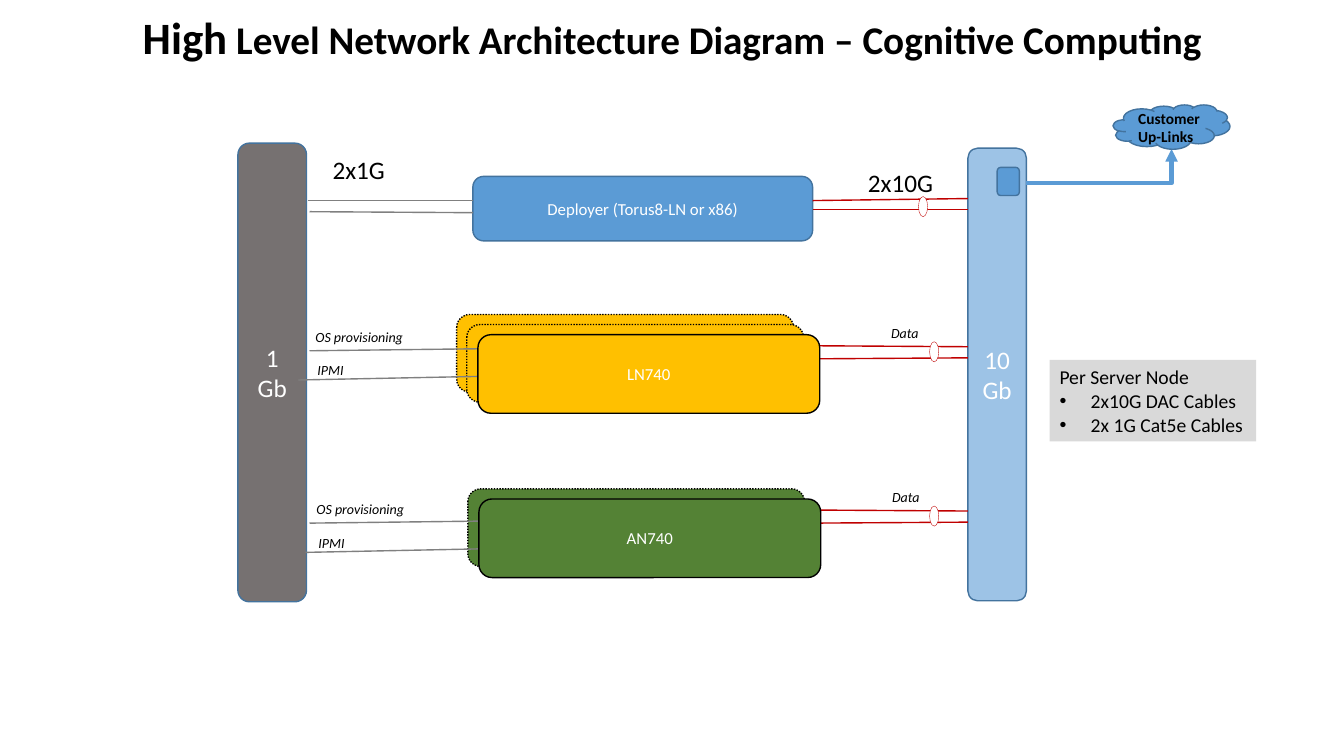
from lxml import etree
from pptx import Presentation
from pptx import util as u
from pptx.dml.color import RGBColor
from pptx.enum import dml, shapes, text
from pptx.oxml import ns

FONT = "Calibri"
BLACK, WHITE = "000000", "FFFFFF"
BLUE, BLUE_EDGE, PALE_BLUE = "5B9BD5", "43739E", "9DC3E6"
GREY_LINE, RED_LINE = "808080", "C00000"
AMBER, GREEN, SLATE, NOTE_GREY = "FFC000", "548235", "767171", "D9D9D9"
KIND = shapes.MSO_SHAPE


def color(value):
    return RGBColor.from_string(value)


def style(para, size, ink=BLACK, bold=False, italic=False, align=None):
    para.alignment = align
    for span in para.runs:
        span.font.name, span.font.size = FONT, u.Pt(size)
        span.font.bold, span.font.italic = bold, italic
        span.font.color.rgb = color(ink)


def add_box(page, kind, box, fill, edge=None, weight=1, dotted=False, label="", size=12):
    shape = page.shapes.add_shape(kind, *map(u.Inches, box))
    shape.shadow.inherit = False
    shape.fill.solid()
    shape.fill.fore_color.rgb = color(fill)
    if edge:
        shape.line.color.rgb = color(edge)
        shape.line.width = u.Pt(weight)
        if dotted:
            shape.line.dash_style = dml.MSO_LINE.ROUND_DOT
    else:
        shape.line.fill.background()
    if label:
        shape.text_frame.text = label
        style(shape.text_frame.paragraphs[0], size, WHITE, align=text.PP_ALIGN.CENTER)
    return shape


def add_label(page, box, words, size, wrap=False, **look):
    frame = page.shapes.add_textbox(*map(u.Inches, box)).text_frame
    frame.word_wrap = wrap
    frame.text = words
    style(frame.paragraphs[0], size, **look)


def add_line(page, start, end, ink, weight=1, kind=shapes.MSO_CONNECTOR.STRAIGHT):
    line = page.shapes.add_connector(kind, *map(u.Inches, (*start, *end)))
    line.line.color.rgb = color(ink)
    line.line.width = u.Pt(weight)
    etree.SubElement(line._element.spPr, ns.qn("a:effectLst"))
    return line


def add_title(page, box):
    title = page.shapes.title
    title.left, title.top, title.width, title.height = map(u.Inches, box)
    frame = title.text_frame
    frame.auto_size = text.MSO_AUTO_SIZE.NONE
    frame.vertical_anchor = text.MSO_ANCHOR.TOP
    para = frame.paragraphs[0]
    for words in ("High", " Level Network Architecture Diagram – Cognitive Computing"):
        para.add_run().text = words
    style(para, 28, bold=True, align=text.PP_ALIGN.CENTER)
    para.runs[0].font.size = u.Pt(32)


def add_switches(page):
    add_box(page, KIND.ROUNDED_RECTANGLE, (9.6, 1.47, 0.58, 4.49), PALE_BLUE, BLUE_EDGE,
            label="10 Gb", size=18)
    add_box(page, KIND.ROUNDED_RECTANGLE, (2.36, 1.42, 0.68, 4.55), SLATE, BLUE_EDGE,
            label="1 Gb", size=18)


def add_data_links(page, top, left=8.05, rises=(0.01, -0.01), gap=0.13, ring=9.22):
    """Two red cables to the 10 Gb switch, bundled by a ring."""
    for index, rise in enumerate(rises):
        y = top + index * gap
        add_line(page, (left, y), (9.6, y + rise), RED_LINE)
    add_box(page, KIND.OVAL, (ring, top - 0.04, 0.09, 0.2), WHITE, RED_LINE, 0.25)


def add_deployer(page, box):
    left, top, width, height = box
    add_box(page, KIND.ROUNDED_RECTANGLE, box, BLUE, BLUE_EDGE,
            label="Deployer (Torus8-LN or x86)")
    add_line(page, (3.05, top + 0.24), (left, top + 0.24), GREY_LINE)
    add_line(page, (3.07, top + 0.35), (left, top + 0.36), GREY_LINE)
    add_data_links(page, top + 0.24, left + width, (-0.02, 0), 0.09, 9.11)
    add_label(page, (3.2, top - 0.27, 0.73, 0.4), "2x1G", 18)
    add_label(page, (8.51, top - 0.14, 0.85, 0.4), "2x10G", 18)


def add_server_group(page, box, name, fill, copies, link_drop, ipmi_left):
    left, top, width, height = box
    # Stacked nodes behind the front one
    for depth in range(copies, 0, -1):
        add_box(page, KIND.ROUNDED_RECTANGLE,
                (left - 0.01 - 0.1 * depth, top - 0.1 * depth, 3.34, 0.77),
                fill, BLACK, dotted=True)
    # Management cables to the 1 Gb switch
    first = top + link_drop
    add_line(page, (3.07, first), (left + 0.02, first - 0.02), GREY_LINE)
    add_line(page, (ipmi_left, first + 0.29), (ipmi_left + 2, first + 0.25), GREY_LINE)
    add_data_links(page, top + 0.11)
    add_box(page, KIND.ROUNDED_RECTANGLE, box, fill, BLACK, label=name)
    # Cable names
    add_label(page, (left - 1.71, first - 0.27, 1.09, 0.27), "OS provisioning", 10, italic=True)
    add_label(page, (left - 1.69, first + 0.06, 0.46, 0.27), "IPMI", 10, italic=True)
    add_label(page, (left + 4, top - 0.15, 0.48, 0.27), "Data", 10, italic=True)


def add_uplink(page, box):
    left, top, width, height = box
    add_box(page, KIND.ROUNDED_RECTANGLE, (9.89, 1.66, 0.22, 0.28), BLUE, BLUE_EDGE)
    # Arrow with a single bend, up into the cloud
    arrow = add_line(page, (10.18, 1.82), (left + width / 2, top + height), BLUE, 3,
                     shapes.MSO_CONNECTOR.ELBOW)
    arrow._element.spPr.find(ns.qn("a:prstGeom")).set("prst", "bentConnector2")
    etree.SubElement(arrow.line._get_or_add_ln(), ns.qn("a:tailEnd"), type="triangle")
    add_box(page, KIND.CLOUD, box, BLUE, BLUE_EDGE)
    add_label(page, (left + 0.15, top - 0.01, 0.94, 0.47), "Customer Up-Links", 11,
              wrap=True, bold=True)


def add_cable_note(page, box):
    frame = add_box(page, KIND.RECTANGLE, box, NOTE_GREY).text_frame
    frame.word_wrap = False
    frame.text = "Per Server Node\n2x10G DAC Cables\n2x 1G Cat5e Cables"
    for index, para in enumerate(frame.paragraphs):
        style(para, 14, align=text.PP_ALIGN.LEFT)
        if index:
            props = para._p.get_or_add_pPr()
            props.set("marL", str(u.Inches(0.31)))
            props.set("indent", str(-u.Inches(0.31)))
            etree.SubElement(props, ns.qn("a:buFont"), typeface="Arial")
            etree.SubElement(props, ns.qn("a:buChar"), char="•")


def main():
    deck = Presentation()
    deck.slide_width, deck.slide_height = u.Inches(13.33), u.Inches(7.5)
    page = deck.slides.add_slide(deck.slide_layouts[5])
    add_title(page, (0, 0.05, 13.33, 0.64))
    add_switches(page)
    add_deployer(page, (4.69, 1.75, 3.37, 0.64))
    add_server_group(page, (4.74, 3.32, 3.39, 0.78), "LN740", AMBER, 2, 0.16, 2.96)
    add_server_group(page, (4.75, 4.95, 3.39, 0.78), "AN740", GREEN, 1, 0.24, 3.03)
    add_uplink(page, (11.04, 1.04, 1.16, 0.44))
    add_cable_note(page, (10.41, 3.57, 2.05, 0.81))
    deck.save("out.pptx")


if __name__ == "__main__":
    main()
